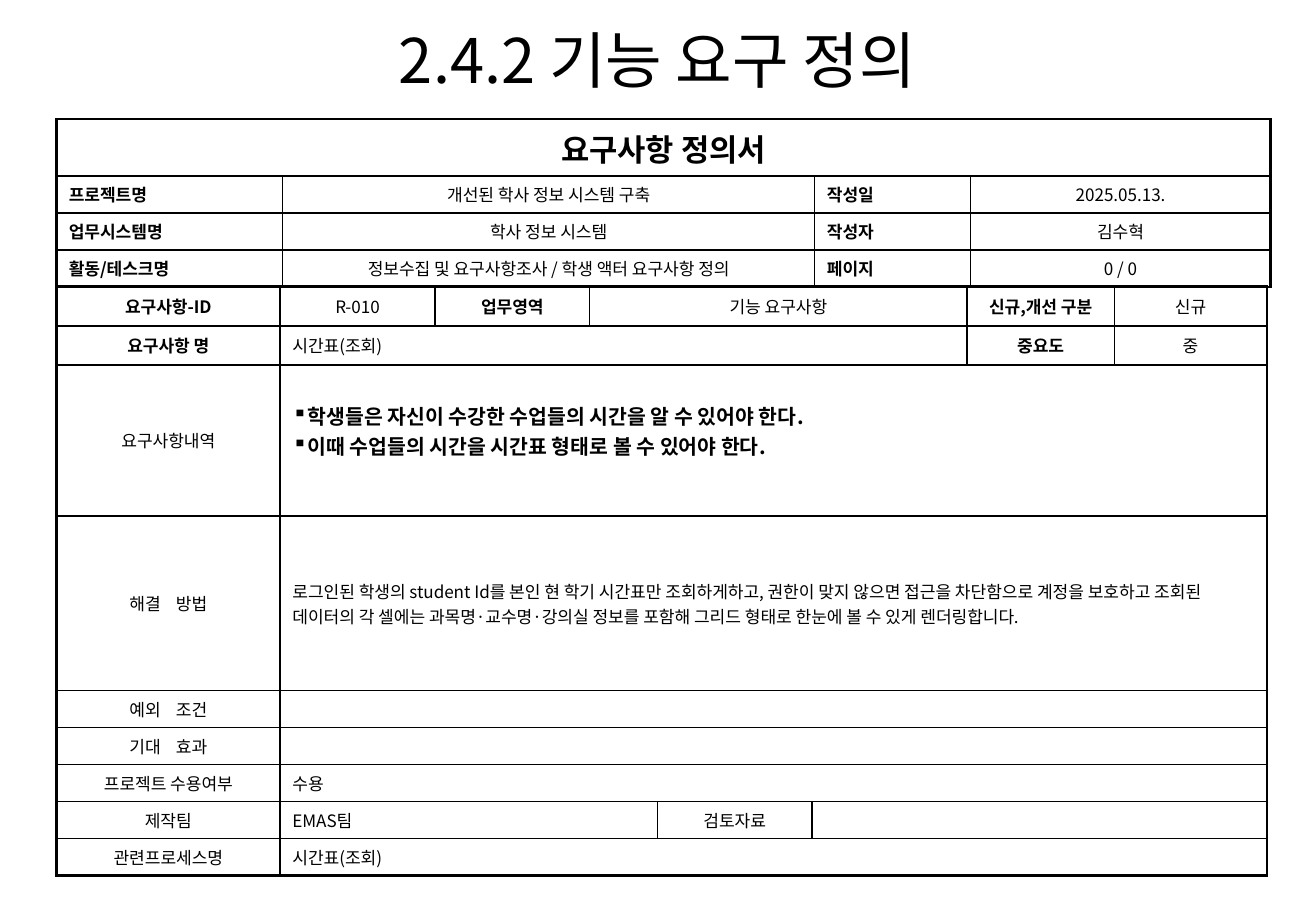
from lxml.etree import SubElement as Sub
from pptx import Presentation
from pptx.dml.color import RGBColor as RGB
from pptx.enum.text import MSO_ANCHOR as Anchor, PP_ALIGN as Align
from pptx.oxml.ns import qn
from pptx.util import Inches, Pt

COLORS = {"ink": "000000"}
FONT = "Noto Sans CJK KR"
THICK, THIN = 1.5, 1

# Each cell: text, columns it spans, style (b bold, c centred, l bulleted list)
HEAD = [
    [("요구사항 정의서", 4, "bc")],
    [("프로젝트명", 1, "b"), ("개선된 학사 정보 시스템 구축", 1, "c"),
     ("작성일", 1, "b"), ("2025.05.13.", 1, "c")],
    [("업무시스템명", 1, "b"), ("학사 정보 시스템", 1, "c"),
     ("작성자", 1, "b"), ("김수혁", 1, "c")],
    [("활동/테스크명", 1, "b"),
     ("정보수집 및 요구사항조사 / 학생 액터 요구사항 정의", 1, "c"),
     ("페이지", 1, "b"), ("0 / 0", 1, "c")],
]
BODY = [
    [("요구사항-ID", 1, "bc"), ("R-010", 1, "c"), ("업무영역", 1, "bc"),
     ("기능 요구사항", 3, "c"), ("신규,개선 구분", 1, "bc"), ("신규", 1, "c")],
    [("요구사항 명", 1, "bc"), ("시간표(조회)", 5, ""),
     ("중요도", 1, "bc"), ("중", 1, "c")],
    [("요구사항내역", 1, "c"),
     ("학생들은 자신이 수강한 수업들의 시간을 알 수 있어야 한다.\n"
      "이때 수업들의 시간을 시간표 형태로 볼 수 있어야 한다.", 7, "bl")],
    [("해결    방법", 1, "c"),
     ("로그인된 학생의 student Id를 본인 현 학기 시간표만 조회하게하고, "
      "권한이 맞지 않으면 접근을 차단함으로 계정을 보호하고 조회된 "
      "데이터의 각 셀에는 과목명·교수명·강의실 정보를 포함해 "
      "그리드 형태로 한눈에 볼 수 있게 렌더링합니다.", 7, "")],
    [("예외    조건", 1, "c"), ("", 7, "")],
    [("기대    효과", 1, "c"), ("", 7, "")],
    [("프로젝트 수용여부", 1, "c"), ("수용", 7, "")],
    [("제작팀", 1, "c"), ("EMAS팀", 3, ""), ("검토자료", 1, "c"), ("", 3, "")],
    [("관련프로세스명", 1, "c"), ("시간표(조회)", 7, "")],
]


def style(para, size, bold=False, align=Align.LEFT):
    para.alignment = align
    font = para.font
    font.size, font.bold, font.name = Pt(size), bold, FONT
    font.color.rgb = RGB.from_string(COLORS["ink"])
    props = para._p.get_or_add_pPr().find(qn("a:defRPr"))
    Sub(props, qn("a:ea"), typeface=FONT)
    if not para.runs:
        # An empty line keeps the row low
        Sub(para._p, qn("a:endParaRPr"), sz=str(size * 100))


def add_dot(para):
    props = para._p.get_or_add_pPr()
    props.set("marL", "0")
    props.set("indent", "0")
    mark = Sub(props, qn("a:buChar"), char="▪")
    props.find(qn("a:defRPr")).addprevious(mark)


def set_edges(cell, widths):
    props = cell._tc.get_or_add_tcPr()
    for side, width in zip("LRTB", widths):
        line = Sub(props, qn("a:ln" + side), w=str(Pt(width)))
        fill = Sub(line, qn("a:solidFill"))
        Sub(fill, qn("a:srgbClr"), val=COLORS["ink"])
    cell.fill.background()


def fill_cell(cell, text, look, size):
    cell.text = text
    for para in cell.text_frame.paragraphs:
        style(para, size, "b" in look, Align.CENTER if "c" in look else Align.LEFT)
        if "l" in look:
            add_dot(para)
    if "l" in look:
        cell.margin_bottom = Inches(0.21)


def add_grid(slide, box, cols, heights, rows, heavy, anchor, sizes):
    """Place a ruled table; heavy lists its thick horizontal lines."""
    shape = slide.shapes.add_table(len(heights), len(cols), *map(Inches, box))
    table = shape.table
    table.first_row = table.horz_banding = False
    for col, width in zip(table.columns, cols):
        col.width = Inches(width)
    for row, height in zip(table.rows, heights):
        row.height = Inches(height)

    for r, row in enumerate(rows):
        c = 0
        for text, span, look in row:
            end = c + span
            if span > 1:
                table.cell(r, c).merge(table.cell(r, end - 1))
            for k in range(c, end):
                cell = table.cell(r, k)
                right = end if k == c else k + 1
                set_edges(cell, [THICK if hit else THIN for hit in (
                    k == 0, right == len(cols), r in heavy, r + 1 in heavy)])
                cell.vertical_anchor = anchor if r else Anchor.MIDDLE
                fill_cell(cell, text if k == c else "", look,
                          sizes.get((r, c), 10))
            c = end


def add_title(slide, box, text):
    title = slide.shapes.title
    title.left, title.top, title.width, title.height = map(Inches, box)
    frame = title.text_frame
    frame.text = text
    frame.vertical_anchor = Anchor.TOP
    para = frame.paragraphs[0]
    para.line_spacing = 1.1
    style(para, 36, align=Align.CENTER)


def main():
    deck = Presentation()
    deck.slide_width, deck.slide_height = Inches(10.71), Inches(7.5)
    slide = deck.slides.add_slide(deck.slide_layouts[5])
    add_title(slide, (1.79, 0.07, 7.12, 1.44), "2.4.2 기능 요구 정의")
    # Requirement details
    add_grid(slide, (0.46, 2.33, 9.87, 4.59),
             [1.82, 1.26, 1.26, 0.55, 1.26, 1.26, 1.2, 1.24],
             [0.32, 0.32, 1.23, 1.42] + [0.25] * 5,
             BODY, {0, 1, 2, 9}, Anchor.MIDDLE, {(2, 1): 12})
    # Document heading
    add_grid(slide, (0.46, 0.97, 9.87, 1.23), [1.84, 4.33, 1.27, 2.44],
             [0.43] + [0.26] * 3, HEAD, {0, 4}, Anchor.TOP, {(0, 0): 18})
    deck.save("out.pptx")


if __name__ == "__main__":
    main()
